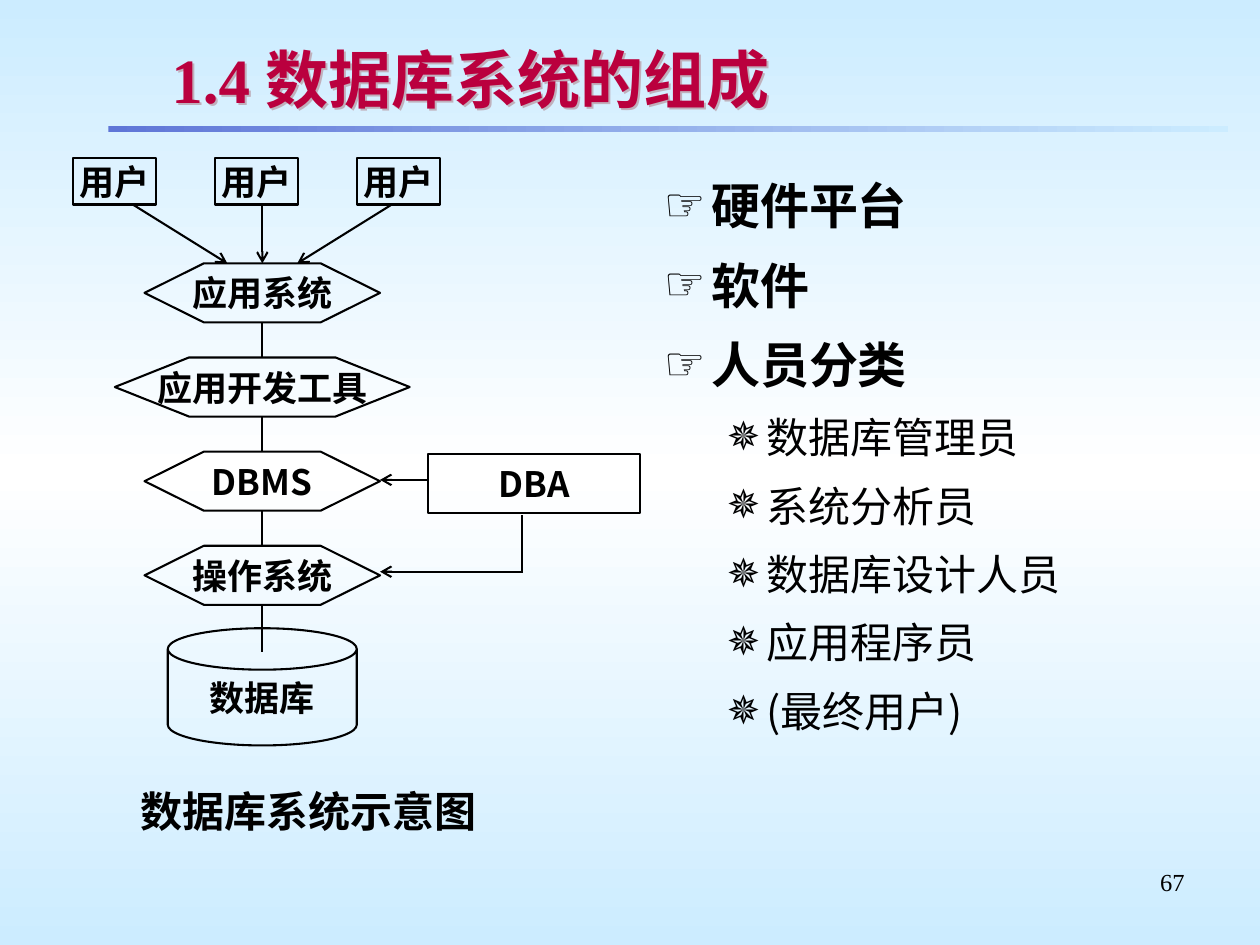
import pptx
import pptx.util
import pptx.dml.color
import pptx.enum.shapes
import pptx.enum.text
import pptx.oxml.ns
from lxml import etree

Pt = pptx.util.Pt
qn = pptx.oxml.ns.qn
KIND = pptx.enum.shapes.MSO_SHAPE
ALIGN = pptx.enum.text.PP_ALIGN
MID = pptx.enum.text.MSO_ANCHOR.MIDDLE

# Content
TITLE = "1.4 数据库系统的组成"
ITEMS = [
    (0, "硬件平台"), (0, "软件"), (0, "人员分类"),
    (1, "数据库管理员"), (1, "系统分析员"), (1, "数据库设计人员"),
    (1, "应用程序员"), (1, "(最终用户)"),
]
USERS = ["用户", "用户", "用户"]
LAYERS = [("应用系统", 134.6, 1.005), ("应用开发工具", 168.5, 1.255),
          ("DBMS", 134.6, 1.005), ("操作系统", 134.6, 1.005)]
STORE = "数据库"
ADMIN = "DBA"
CAPTION = "数据库系统示意图"
PAGE = "67"

# Style
COLORS = {"ink": "000000", "title": "BA003E", "sky": "CCECFF",
          "white": "FFFFFF", "rule": "5F76D7", "shade": "C0B0BC"}
SANS, SERIF = "Noto Sans CJK SC", "Times New Roman"
LEVELS = [  # mark, left, hang, space before, size, bold, font
    ("☞", 27, 27, 5.2, 28, True, SERIF),
    ("✵", 58.5, 22.5, 4.5, 24, False, SANS),
]

# Diagram measures
MID_X = 149.9
USER_Y, USER_W, USER_H, USER_GAP = 90.3, 47.5, 26.6, 81.1
LAYER_Y, LAYER_H, LAYER_STEP = 150.5, 33.8, 53.8
STORE_Y = 359


def rgb(name):
    return pptx.dml.color.RGBColor.from_string(COLORS[name])


def add(parent, tag, **attrs):
    return etree.SubElement(parent, qn(tag), attrs)


def blend(fill, owner, names, angle):
    """Fill with evenly spaced gradient stops."""
    fill.gradient()
    fill.gradient_angle = angle
    stops = next(owner.iter(qn("a:gsLst")))
    stops.clear()
    for i, name in enumerate(names):
        stop = add(stops, "a:gs", pos=str(100000 * i // (len(names) - 1)))
        add(stop, "a:srgbClr", val=COLORS[name])


def style(para, size, bold=False, face=SANS, color="ink"):
    font = para.font
    font.size, font.bold, font.name = Pt(size), bold, face
    font.color.rgb = rgb(color)
    latin = next(para._p.iter(qn("a:latin")))
    east = etree.Element(qn("a:ea"), typeface=SANS)
    latin.addnext(east)


def label(shape, text, size=20, bold=True, face=SANS, align=ALIGN.CENTER):
    frame = shape.text_frame
    frame.word_wrap = False
    frame.vertical_anchor = MID
    para = frame.paragraphs[0]
    para.text = text
    para.alignment = align
    style(para, size, bold, face)


def node(slide, kind, text, x, y, w, h, adjust=None):
    shape = slide.shapes.add_shape(kind, Pt(x), Pt(y), Pt(w), Pt(h))
    shape.shadow.inherit = False
    shape.fill.background()
    shape.line.color.rgb = rgb("ink")
    shape.line.width = Pt(1.19)
    if adjust:
        shape.adjustments[0] = adjust
    label(shape, text)


def link(slide, x1, y1, x2, y2, arrow=False):
    line = slide.shapes.add_connector(
        pptx.enum.shapes.MSO_CONNECTOR.STRAIGHT, Pt(x1), Pt(y1), Pt(x2), Pt(y2))
    line.line.color.rgb = rgb("ink")
    line.line.width = Pt(1.19)
    if arrow:
        add(line.line._get_or_add_ln(), "a:tailEnd", type="arrow")
    add(line._element.spPr, "a:effectLst")


def place(shape, x, y, w, h):
    shape.left, shape.top, shape.width, shape.height = Pt(x), Pt(y), Pt(w), Pt(h)


def head(slide):
    rule = slide.shapes.add_shape(KIND.RECTANGLE, Pt(61.9), Pt(72), Pt(640), Pt(3.6))
    rule.shadow.inherit = False
    rule.line.fill.background()
    blend(rule.fill, rule._element, ["rule", "sky"], 0)

    title = slide.shapes.title
    place(title, 90.7, 20.9, 593.3, 48.2)
    frame = title.text_frame
    frame.auto_size = pptx.enum.text.MSO_AUTO_SIZE.NONE
    frame.vertical_anchor = MID
    frame.margin_top = frame.margin_bottom = Pt(3)
    para = frame.paragraphs[0]
    para.text = TITLE
    para.alignment = ALIGN.LEFT
    style(para, 36, True, SERIF, "title")
    # An unfilled shape casts the shadow of its text
    title.fill.background()
    effects = add(title._element.spPr, "a:effectLst")
    shadow = add(effects, "a:outerShdw", dist=str(Pt(1.6)), dir="2700000")
    add(shadow, "a:srgbClr", val=COLORS["shade"])


def body(slide):
    box = slide.placeholders[1]
    place(box, 372.2, 90, 311.8, 420)
    frame = box.text_frame
    frame.auto_size = pptx.enum.text.MSO_AUTO_SIZE.NONE
    frame.margin_top = Pt(3.6)
    for i, (level, text) in enumerate(ITEMS):
        mark, left, hang, space, size, bold, face = LEVELS[level]
        para = frame.add_paragraph() if i else frame.paragraphs[0]
        para.text = text
        para.level = level
        para.alignment = ALIGN.JUSTIFY
        para.line_spacing = 1.2
        para.space_before = Pt(space if i else 0)
        props = para._p.get_or_add_pPr()
        props.set("marL", str(Pt(left)))
        props.set("indent", str(-Pt(hang)))
        add(add(props, "a:buClr"), "a:srgbClr", val=COLORS["ink"])
        add(props, "a:buSzPct", val="95000")
        add(props, "a:buChar", char=mark)
        style(para, size, bold, face)


def chart(slide):
    # Users and their arrows
    for i, text in enumerate(USERS):
        side = i - 1
        x = MID_X - 3.2 + side * USER_GAP
        node(slide, KIND.RECTANGLE, text, x - USER_W / 2, USER_Y, USER_W, USER_H)
        link(slide, MID_X + side * 74, USER_Y + USER_H,
             MID_X + side * 20, LAYER_Y, True)
    # Software layers, each tied to the next part down
    for i, (text, width, adjust) in enumerate(LAYERS):
        y = LAYER_Y + i * LAYER_STEP
        node(slide, KIND.HEXAGON, text, MID_X - width / 2, y, width, LAYER_H, adjust)
        last = i == len(LAYERS) - 1
        link(slide, MID_X, y + LAYER_H, MID_X, 372.5 if last else y + LAYER_STEP)
    node(slide, KIND.CAN, STORE, MID_X - 54, STORE_Y, 108, 67, 0.354)
    # Administrator
    node(slide, KIND.RECTANGLE, ADMIN, 244.5, 259.5, 121.5, LAYER_H)
    edge = MID_X + 67.3
    link(slide, 244.5, 274.2, edge, 274.2, True)
    link(slide, 298.5, 294.5, 298.5, 327.5)
    link(slide, 298.5, 326.7, edge, 326.7, True)


def main():
    deck = pptx.Presentation()
    deck.slide_width, deck.slide_height = Pt(720), Pt(540)
    slide = deck.slides.add_slide(deck.slide_layouts[1])
    blend(slide.background.fill, slide._element, ["sky", "white", "sky"], 270)
    head(slide)
    chart(slide)
    body(slide)
    # Caption and page number
    note = slide.shapes.add_textbox(Pt(71.5), Pt(446.4), Pt(210), Pt(33.8))
    label(note, CAPTION, 24)
    page = slide.shapes.add_textbox(Pt(516), Pt(490.8), Pt(168), Pt(26))
    label(page, PAGE, 14, False, SERIF, ALIGN.RIGHT)
    page.text_frame.word_wrap = True
    deck.save("out.pptx")


if __name__ == "__main__":
    main()
